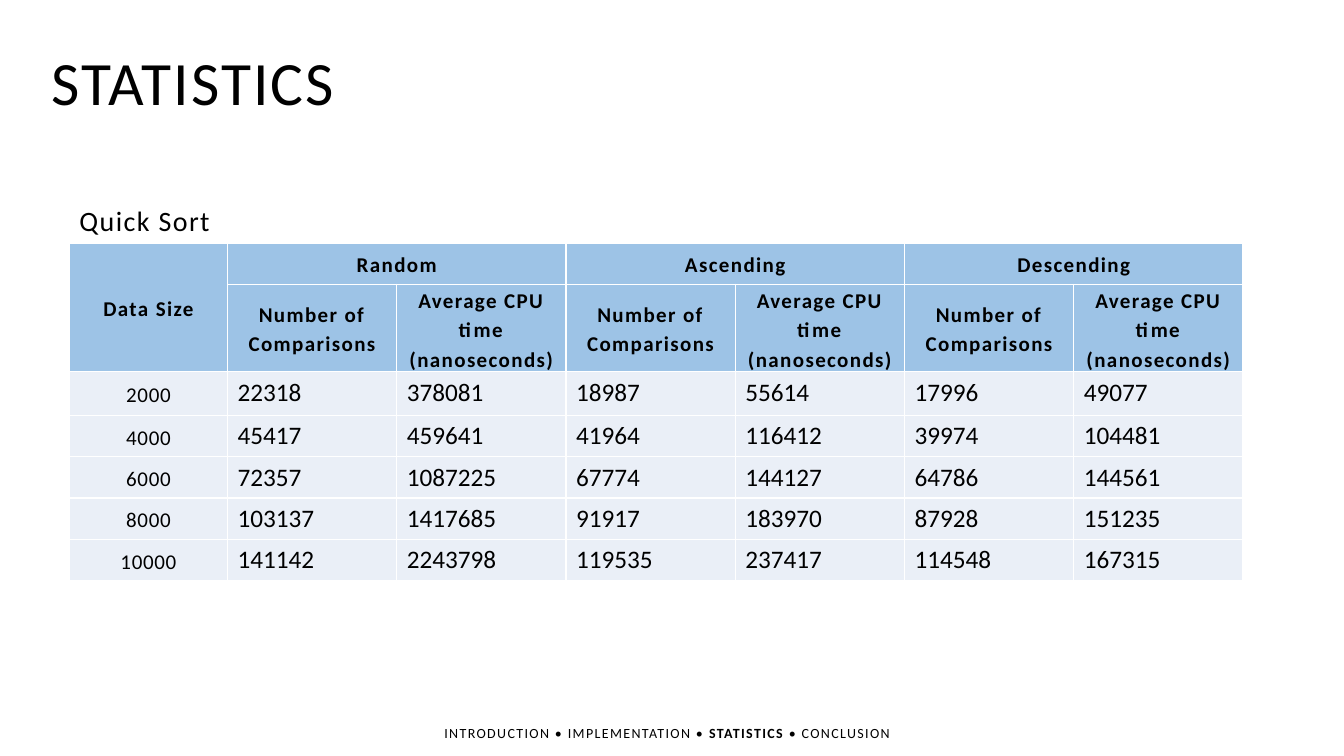
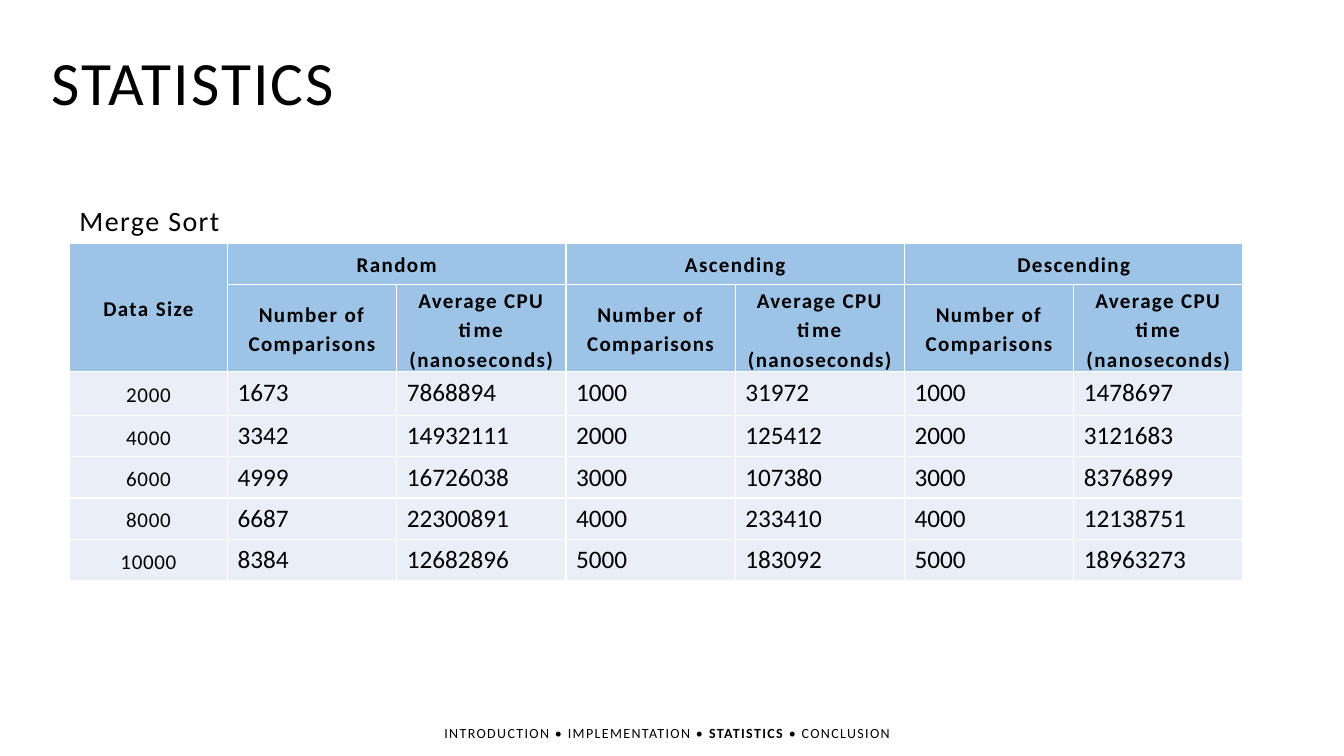
from pptx import Presentation
from pptx.dml.color import RGBColor
from pptx.enum import text
from pptx.oxml import parse_xml
from pptx.oxml.ns import nsdecls
from pptx.util import Pt

BLACK = RGBColor(0x00, 0x00, 0x00)
HEADER = RGBColor(0x9D, 0xC3, 0xE6)
BODY = RGBColor(0xEA, 0xEF, 0xF7)
FONT = "Calibri"

# Table layout, shared by both slides
LEFT, TOP = 49.7, 173.5
COLS = [112.8] + [120.9] * 6
ROWS = [29.6, 60, 31.4] + [29.6] * 4
ORDERS = ["Random", "Ascending", "Descending"]
MEASURES = ["Number of Comparisons", "Average CPU time (nanoseconds)"]
SIZES = [2000, 4000, 6000, 8000, 10000]

RESULTS = {
    "Quick Sort": [
        [22318, 378081, 18987, 55614, 17996, 49077],
        [45417, 459641, 41964, 116412, 39974, 104481],
        [72357, 1087225, 67774, 144127, 64786, 144561],
        [103137, 1417685, 91917, 183970, 87928, 151235],
        [141142, 2243798, 119535, 237417, 114548, 167315],
    ],
    "Merge Sort": [
        [1673, 7868894, 1000, 31972, 1000, 1478697],
        [3342, 14932111, 2000, 125412, 2000, 3121683],
        [4999, 16726038, 3000, 107380, 3000, 8376899],
        [6687, 22300891, 4000, 233410, 4000, 12138751],
        [8384, 12682896, 5000, 183092, 5000, 18963273],
    ],
}
LABEL_WIDTHS = {"Quick Sort": 108, "Merge Sort": 115.2}


def style(p, size, spacing=0, bold=False):
    p.font.name, p.font.size, p.font.bold = FONT, Pt(size), bold
    p.font.color.rgb = BLACK
    p._p.get_or_add_pPr().get_or_add_defRPr().set("spc", str(int(spacing * 100)))


def place(sp, left, top, width, height):
    sp.left, sp.top, sp.width, sp.height = Pt(left), Pt(top), Pt(width), Pt(height)
    tf = sp.text_frame
    tf.word_wrap = False
    tf.auto_size = text.MSO_AUTO_SIZE.SHAPE_TO_FIT_TEXT
    tf.vertical_anchor = text.MSO_ANCHOR.TOP
    tf.paragraphs[0].alignment = text.PP_ALIGN.LEFT
    return tf.paragraphs[0]


prs = Presentation()
prs.slide_width, prs.slide_height = Pt(960), Pt(540)

for name, results in RESULTS.items():
    s = prs.slides.add_slide(prs.slide_layouts[5])

    # Title
    p = place(s.shapes.title, 29.5, 27.4, 220.3, 60.5)
    p.text = "STATISTICS"
    style(p, 44, 1.5)

    # Footer with the current section in bold
    p = place(s.shapes.add_textbox(0, 0, 0, 0), 310.3, 514.1, 339.1, 19.4)
    for words in ["INTRODUCTION • IMPLEMENTATION • ", "STATISTICS", " • CONCLUSION"]:
        r = p.add_run()
        r.text = words
        if words == "STATISTICS":
            r.font.bold = True
    style(p, 10, 1)

    # Table label
    p = place(s.shapes.add_textbox(0, 0, 0, 0), LEFT, 141.8, LABEL_WIDTHS[name], 31.7)
    p.text = name
    style(p, 20, 1)

    # Table grid
    table = s.shapes.add_table(len(ROWS), len(COLS), Pt(LEFT), Pt(TOP),
                               Pt(sum(COLS)), Pt(sum(ROWS))).table
    for column, width in zip(table.columns, COLS):
        column.width = Pt(width)
    for row, height in zip(table.rows, ROWS):
        row.height = Pt(height)
    table.cell(0, 0).merge(table.cell(1, 0))
    for c in (1, 3, 5):
        table.cell(0, c).merge(table.cell(0, c + 1))

    # Cell contents
    grid = [["Data Size"] + [t for order in ORDERS for t in (order, "")],
            [""] + MEASURES * len(ORDERS)]
    grid += [[size] + values for size, values in zip(SIZES, results)]
    for i, values in enumerate(grid):
        for j, value in enumerate(values):
            cell = table.cell(i, j)
            tcPr = cell._tc.get_or_add_tcPr()
            for side in "LRTB":
                tcPr.append(parse_xml(
                    f'<a:ln{side} {nsdecls("a")} w="12700"><a:solidFill>'
                    f'<a:srgbClr val="FFFFFF"/></a:solidFill></a:ln{side}>'))
            cell.fill.solid()
            cell.fill.fore_color.rgb = HEADER if i < 2 else BODY
            cell.vertical_anchor = text.MSO_ANCHOR.MIDDLE
            cell.margin_left = cell.margin_right = Pt(7.2)
            cell.margin_top = cell.margin_bottom = 0
            if value == "":
                continue
            p = cell.text_frame.paragraphs[0]
            p.text = str(value)
            if i < 2 or j == 0:
                p.alignment = text.PP_ALIGN.CENTER
                p.line_spacing, p.space_after = 1.15, Pt(10)
                style(p, 15, 1 if i < 2 else 0.5, i < 2)
            else:
                style(p, 18)

prs.save("out.pptx")
